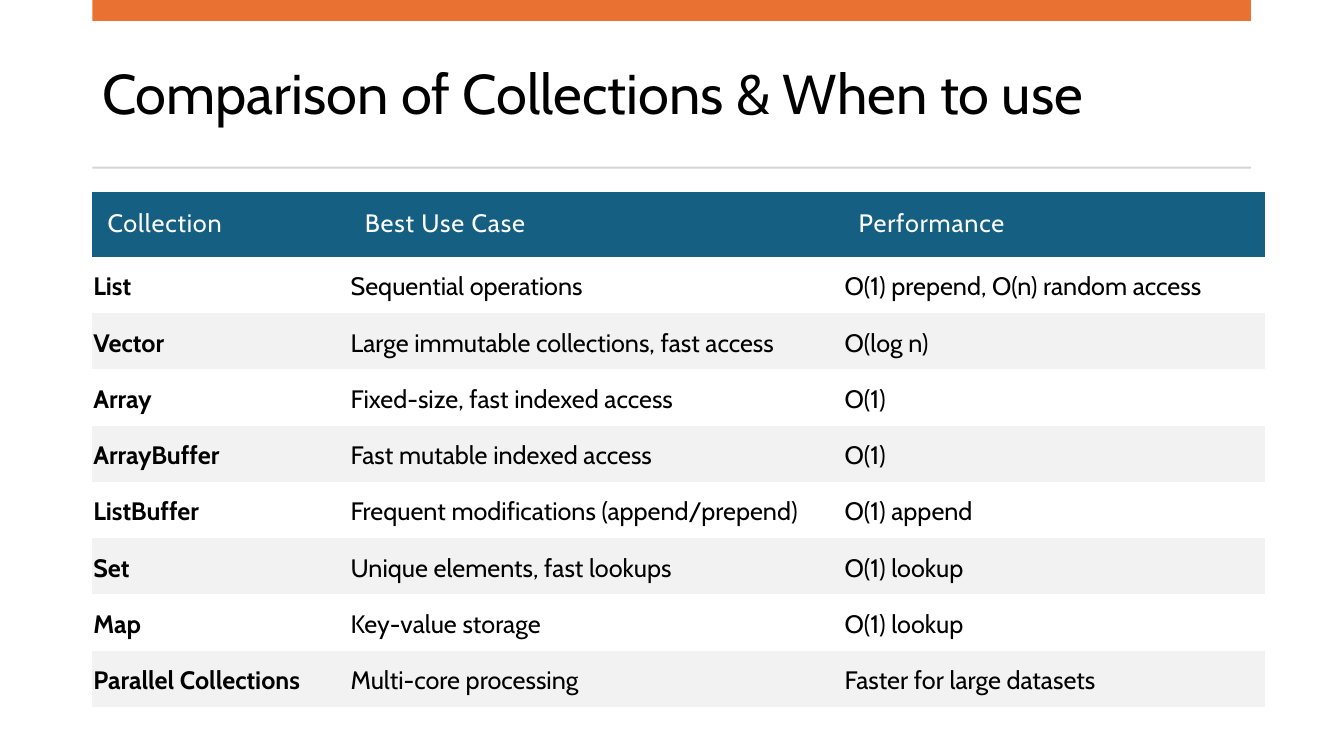
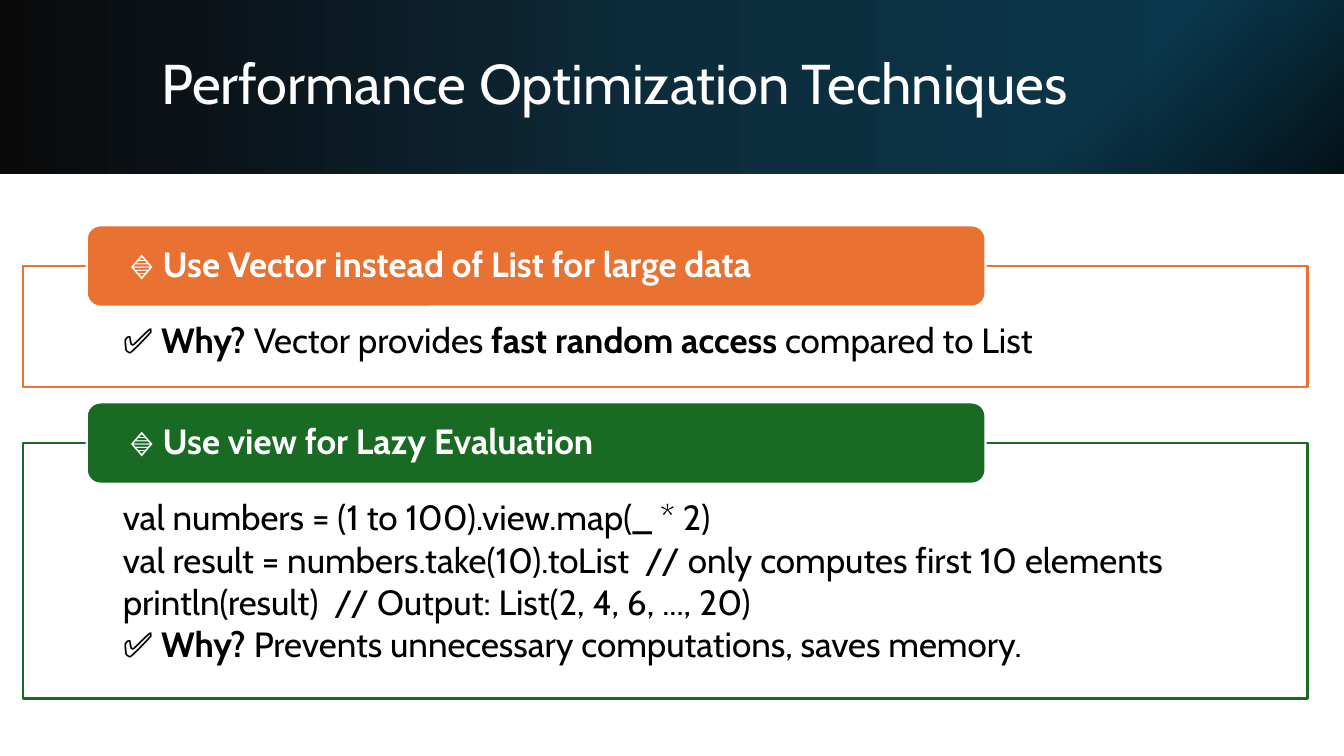
from dataclasses import dataclass

from lxml import etree
from pptx import Presentation
from pptx.dml.color import RGBColor
from pptx.enum.shapes import MSO_SHAPE
from pptx.enum.text import MSO_ANCHOR, PP_ALIGN
from pptx.oxml.ns import qn
from pptx.util import Pt

RECT, ROUND = MSO_SHAPE.RECTANGLE, MSO_SHAPE.ROUNDED_RECTANGLE
TOP, MIDDLE = MSO_ANCHOR.TOP, MSO_ANCHOR.MIDDLE
LEFT = PP_ALIGN.LEFT
NO_GRID = "{2D5ABB26-0587-4C30-8999-92F81FD0307C}"


@dataclass(frozen=True)
class Theme:
    font: str = "Cabin"
    black: str = "000000"
    white: str = "FFFFFF"
    orange: str = "E97132"
    green: str = "196B24"
    blue: str = "156082"
    rule: str = "D5D5D5"
    stripe: str = "F2F2F2"
    title_pt: int = 40
    panel_pt: int = 25
    table_pt: int = 18


T = Theme()
WIDTH, HEIGHT = 960, 540
MARGIN, CONTENT_W = 66, 827.5
BANNER_H = 124

# Gradient stops: position %, colour, opacity %
BANNER_STOPS = [(0, "0A0A0A", 100), (12, "0B1116", 100),
                (50, "0C2C3C", 100), (100, "0B3A50", 100)]
SHADE_STOPS = [(0, T.black, 0), (50, T.black, 0), (100, T.black, 70)]

COLUMN_WIDTHS = [183.8, 352.8, 300.8]
HEADER_H, ROW_H = 46.4, 40.2
COLLECTIONS = [
    ("Collection", "Best Use Case", "Performance"),
    ("List", "Sequential operations", "O(1) prepend, O(n) random access"),
    ("Vector", "Large immutable collections, fast access", "O(log n)"),
    ("Array", "Fixed-size, fast indexed access", "O(1)"),
    ("ArrayBuffer", "Fast mutable indexed access", "O(1)"),
    ("ListBuffer", "Frequent modifications (append/prepend)", "O(1) append"),
    ("Set", "Unique elements, fast lookups", "O(1) lookup"),
    ("Map", "Key-value storage", "O(1) lookup"),
    ("Parallel Collections", "Multi-core processing",
     "Faster for large datasets"),
]

# Panels: colour, top, height, heading, lines of (text, bold) runs
PANELS = [
    (T.orange, 190, 86.5, "Use Vector instead of List for large data", [
        [("✅ ", False), ("Why?", True), (" Vector provides ", False),
         ("fast random access", True), (" compared to List", False)],
    ]),
    (T.green, 316.5, 182.5, "Use view for Lazy Evaluation", [
        [("val numbers = (1 to 100).view.map(_ * 2)", False)],
        [("val result = numbers.take(10).toList  "
          "// only computes first 10 elements", False)],
        [("println(result)  // Output: List(2, 4, 6, ..., 20)", False)],
        [("✅ ", False), ("Why?", True),
         (" Prevents unnecessary computations, saves memory.", False)],
    ]),
]


def rgb(color):
    return RGBColor.from_string(color)


def set_font(p, size, color, bold=False):
    p.font.name = T.font
    p.font.size = Pt(size)
    p.font.bold = bold
    p.font.color.rgb = rgb(color)


def set_insets(target, left, top, right, bottom):
    target.margin_left, target.margin_right = Pt(left), Pt(right)
    target.margin_top, target.margin_bottom = Pt(top), Pt(bottom)


def add_box(s, kind, x, y, w, h, fill=None, line=None):
    sp = s.shapes.add_shape(kind, Pt(x), Pt(y), Pt(w), Pt(h))
    sp.shadow.inherit = False
    if fill:
        sp.fill.solid()
        sp.fill.fore_color.rgb = rgb(fill)
    if line:
        sp.line.color.rgb = rgb(line)
        sp.line.width = Pt(1.5)
    else:
        sp.line.fill.background()
    return sp


def set_gradient(sp, stops, angle):
    """Fill a shape with stops, at a clockwise angle in degrees."""
    sp.fill.gradient()
    grad = sp._element.spPr.find(qn("a:gradFill"))
    for child in list(grad):
        grad.remove(child)
    stop_list = etree.SubElement(grad, qn("a:gsLst"))
    for pos, color, opacity in stops:
        gs = etree.SubElement(stop_list, qn("a:gs"), pos=str(pos * 1000))
        clr = etree.SubElement(gs, qn("a:srgbClr"), val=color)
        etree.SubElement(clr, qn("a:alpha"), val=str(opacity * 1000))
    etree.SubElement(grad, qn("a:lin"), ang=str(angle * 60000), scaled="0")


def write_lines(sp, lines, size, color, anchor, space_after=0):
    tf = sp.text_frame
    tf.word_wrap = True
    tf.vertical_anchor = anchor
    for i, runs in enumerate(lines):
        p = tf.add_paragraph() if i else tf.paragraphs[0]
        p.alignment = LEFT
        p.line_spacing = 0.9
        p.space_after = Pt(space_after)
        set_font(p, size, color)
        for text, bold in runs:
            r = p.add_run()
            r.text = text
            if bold:
                r.font.bold = True


def add_title(s, text, x, y, w, h, color):
    sp = s.shapes.add_textbox(Pt(x), Pt(y), Pt(w), Pt(h))
    write_lines(sp, [[(text, False)]], T.title_pt, color, MIDDLE)


def fill_cell(cell, text, is_header, bold, fill):
    cell.vertical_anchor = MIDDLE
    if fill:
        cell.fill.solid()
        cell.fill.fore_color.rgb = rgb(fill)
    else:
        cell.fill.background()
    set_insets(cell, *((10.8, 8.6, 10.8, 10.8) if is_header
                       else (0.7, 8.6, 0.7, 7.2)))
    cell.text = text
    p = cell.text_frame.paragraphs[0]
    p.line_spacing = 1.07
    set_font(p, T.table_pt, T.white if is_header else T.black, bold)
    if is_header:
        p.font._element.set("spc", "60")


def add_table(s, rows, x, y):
    height = HEADER_H + ROW_H * (len(rows) - 1)
    frame = s.shapes.add_table(len(rows), len(COLUMN_WIDTHS), Pt(x), Pt(y),
                               Pt(sum(COLUMN_WIDTHS)), Pt(height))
    table = frame.table
    table.horz_banding = False
    table._tbl.tblPr.find(qn("a:tableStyleId")).text = NO_GRID
    for column, width in zip(table.columns, COLUMN_WIDTHS):
        column.width = Pt(width)
    for i, row in enumerate(rows):
        is_header = i == 0
        table.rows[i].height = Pt(HEADER_H if is_header else ROW_H)
        stripe = T.stripe if i % 2 == 0 else None
        for j, text in enumerate(row):
            fill_cell(table.cell(i, j), text, is_header,
                      not is_header and j == 0,
                      T.blue if is_header else stripe)


def add_panel(s, color, y, height, heading, lines):
    # Outlined body
    body = add_box(s, RECT, 16.5, y, 917.5, height, T.white, color)
    set_insets(body.text_frame, 71.2, 41, 71.2, 13.7)
    write_lines(body, lines, T.panel_pt, T.black, TOP, 3.3)
    # Heading tab across the top edge
    tab = add_box(s, ROUND, 62, y - 29, 642, 58, color, T.white)
    set_insets(tab.text_frame, 27.3, 0, 27.3, 0)
    write_lines(tab, [[("🔹 ", False), (heading, True)]],
                T.panel_pt, T.white, MIDDLE)


def build_comparison(s):
    add_title(s, "Comparison of Collections & When to use",
              MARGIN, 26.5, CONTENT_W, 85, T.black)
    add_box(s, RECT, MARGIN, 0, CONTENT_W, 15, T.orange)
    add_box(s, RECT, MARGIN, 119, CONTENT_W, 1.4, T.rule)
    add_table(s, COLLECTIONS, MARGIN, 137)


def build_optimization(s):
    # Dark banner, shaded toward its lower right corner
    banner = add_box(s, RECT, 0, 0, WIDTH, BANNER_H)
    set_gradient(banner, BANNER_STOPS, 0)
    shade = add_box(s, RECT, 640, 0, WIDTH - 640, BANNER_H)
    set_gradient(shade, SHADE_STOPS, 45)
    add_title(s, "Performance Optimization Techniques",
              108, 27, 790, 69, T.white)
    for panel in PANELS:
        add_panel(s, *panel)


def main():
    prs = Presentation()
    prs.slide_width, prs.slide_height = Pt(WIDTH), Pt(HEIGHT)
    for build in (build_comparison, build_optimization):
        build(prs.slides.add_slide(prs.slide_layouts[6]))
    prs.save("out.pptx")


if __name__ == "__main__":
    main()
